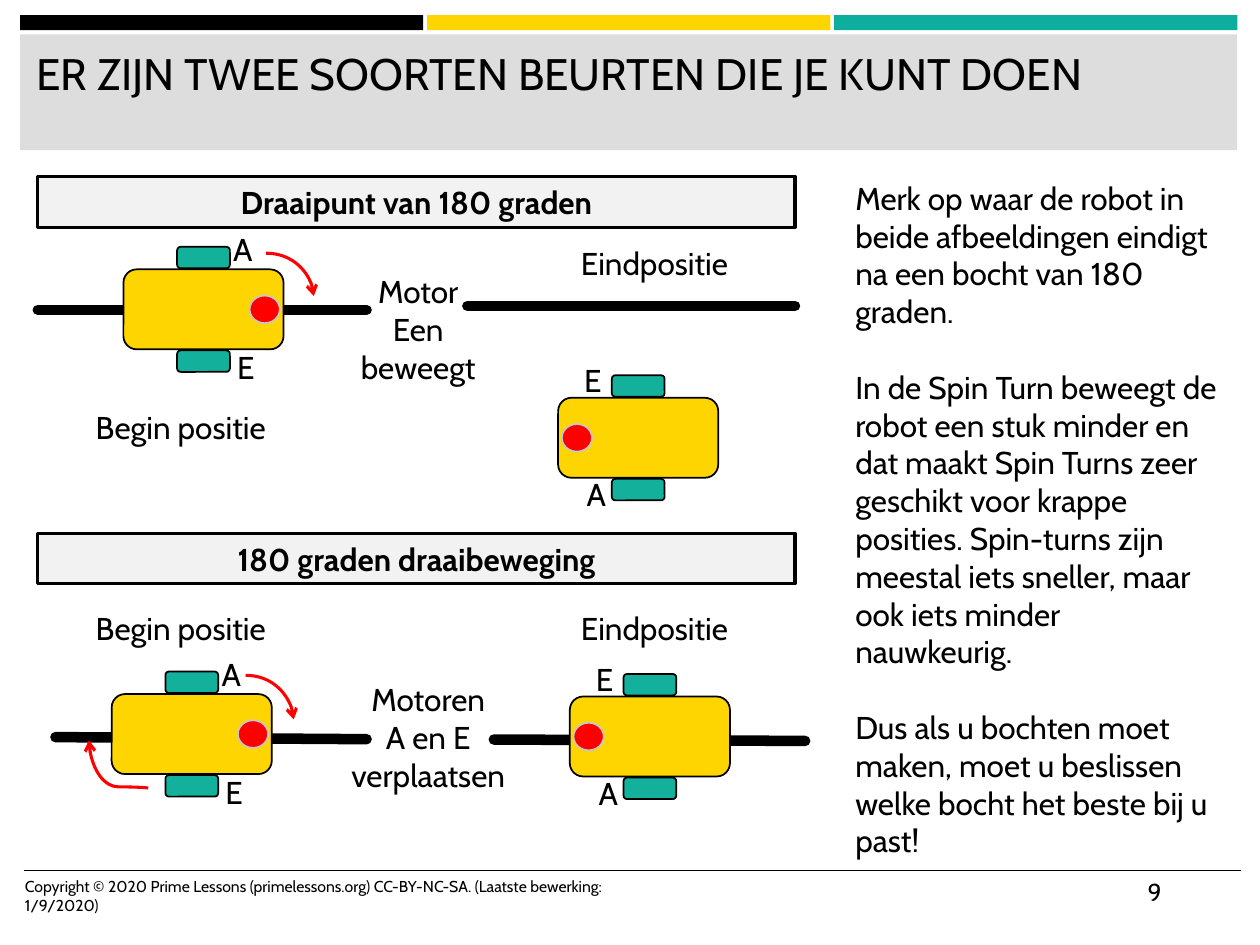
from lxml.etree import SubElement
from pptx import Presentation
from pptx.dml.color import RGBColor
from pptx.enum.shapes import MSO_CONNECTOR, MSO_SHAPE
from pptx.enum.text import MSO_ANCHOR, PP_ALIGN
from pptx.oxml.ns import qn
from pptx.util import Pt

BLACK = RGBColor(0x00, 0x00, 0x00)
YELLOW = RGBColor(0xFF, 0xD5, 0x00)
TEAL = RGBColor(0x0E, 0xAE, 0x9F)
WHEEL = RGBColor(0x13, 0xB0, 0x9B)
GREY = RGBColor(0xDD, 0xDD, 0xDD)
PALE = RGBColor(0xF2, 0xF2, 0xF2)
SILVER = RGBColor(0xC7, 0xC7, 0xC7)
RED = RGBColor(0xFF, 0x00, 0x00)


class SlideKit:
    font = "Cabin"
    size = 18

    def __init__(self, s):
        self.s = s

    def fill_text(self, tf, lines, size=None, align=PP_ALIGN.LEFT, bold=False, gap=0):
        tf.word_wrap = True
        for i, line in enumerate(lines):
            p = tf.paragraphs[0] if i == 0 else tf.add_paragraph()
            p.alignment = align
            if i:
                p.space_before = Pt(gap)
            r = p.add_run()
            r.text = line
            r.font.name = self.font
            r.font.size = Pt(size or self.size)
            r.font.bold = bold
            r.font.color.rgb = BLACK

    def text(self, x, y, w, h, *lines, **style):
        sp = self.s.shapes.add_textbox(Pt(x), Pt(y), Pt(w), Pt(h))
        self.fill_text(sp.text_frame, lines, **style)

    def caption(self, x, y, w, h, *lines):
        self.text(x, y, w, h, *lines, align=PP_ALIGN.CENTER)

    def shape(self, kind, x, y, w, h, fill, line=None, weight=1):
        sp = self.s.shapes.add_shape(kind, Pt(x), Pt(y), Pt(w), Pt(h))
        sp.shadow.inherit = False
        sp.fill.solid()
        sp.fill.fore_color.rgb = fill
        if line is None:
            sp.line.fill.background()
        else:
            sp.line.color.rgb = line
            sp.line.width = Pt(weight)
        return sp

    def centred(self, kind, cx, cy, w, h, fill, line):
        self.shape(kind, cx - w / 2, cy - h / 2, w, h, fill, line)

    def banner(self, y, title):
        sp = self.shape(MSO_SHAPE.RECTANGLE, 21.6, y, 432.7, 29, PALE, BLACK, 1.75)
        tf = sp.text_frame
        tf.vertical_anchor = MSO_ANCHOR.MIDDLE
        self.fill_text(tf, [title], align=PP_ALIGN.CENTER, bold=True)

    def line(self, x1, y1, x2, y2, weight, color=BLACK, kind=MSO_CONNECTOR.STRAIGHT):
        sp = self.s.shapes.add_connector(kind, Pt(x1), Pt(y1), Pt(x2), Pt(y2))
        sp.line.color.rgb = color
        sp.line.width = Pt(weight)
        SubElement(sp._element.spPr, qn("a:effectLst"))
        return sp

    def track(self, x1, y1, x2, y2):
        sp = self.line(x1, y1, x2, y2, 6)
        sp.line._get_or_add_ln().set("cap", "rnd")

    def turn(self, x1, y1, x2, y2, preset="curvedConnector2", rot=0, adj=None):
        sp = self.line(x1, y1, x2, y2, 1.75, RED, MSO_CONNECTOR.CURVE)
        SubElement(sp.line._get_or_add_ln(), qn("a:tailEnd"), type="arrow")
        spPr = sp._element.spPr
        geom = spPr.find(qn("a:prstGeom"))
        geom.set("prst", preset)
        if rot:
            spPr.find(qn("a:xfrm")).set("rot", str(rot * 60000))
        if adj is not None:
            guides = geom.find(qn("a:avLst"))
            SubElement(guides, qn("a:gd"), name="adj1", fmla=f"val {adj}")

    def robot(self, cx, cy, forward):
        rounded = MSO_SHAPE.ROUNDED_RECTANGLE
        self.centred(rounded, cx, cy, 91.5, 45.7, YELLOW, BLACK)
        for dy in (-29.6, 29.6):
            self.centred(rounded, cx, cy + dy, 30.2, 12.3, WHEEL, BLACK)
        dot = 35 if forward else -35
        self.centred(MSO_SHAPE.OVAL, cx + dot, cy, 17.3, 15.8, RED, SILVER)
        if forward:
            labels = ("A", 9.9, -49), ("E", 12.1, 18.7)
        else:
            labels = ("A", -36.5, 17.6), ("E", -38, -47.5)
        for name, dx, dy in labels:
            self.text(cx + dx, cy + dy, 36.7, 29, name)


def main():
    prs = Presentation()
    prs.slide_width, prs.slide_height = Pt(720), Pt(540)
    kit = SlideKit(prs.slides.add_slide(prs.slide_layouts[6]))

    for i, color in enumerate((BLACK, YELLOW, TEAL)):
        kit.shape(MSO_SHAPE.RECTANGLE, 11.5 + i * 232.6, 8.6, 230.4, 8.6, color)
    kit.shape(MSO_SHAPE.RECTANGLE, 11.5, 19.6, 695.5, 66.2, GREY)
    kit.line(13.5, 497.5, 709.2, 497.5, 1)
    kit.text(13.7, 23, 689, 59, "ER ZIJN TWEE SOORTEN BEURTEN DIE JE KUNT DOEN", size=25.2)
    kit.text(7.2, 497.5, 383.8, 28.8,
             "Copyright © 2020 Prime Lessons (primelessons.org) CC-BY-NC-SA. "
             "(Laatste bewerking: 1/9/2020)", size=9)
    kit.text(648.7, 497.5, 60.5, 28.8, "9", size=14)

    kit.track(282.2, 422.6, 460.1, 423.4)
    kit.track(31.7, 421.2, 209.5, 422.4)
    kit.track(21.6, 177.1, 209.5, 177.1)
    kit.track(267.1, 174.8, 454.3, 174.8)

    kit.banner(100.8, "Draaipunt van 180 graden")
    kit.banner(304.6, "180 graden draaibeweging")

    for y in (229.7, 344.5):
        kit.caption(36, y, 134.6, 29, "Begin positie")
    for y in (136, 344.5):
        kit.caption(306.7, y, 134.6, 29, "Eindpositie")
    kit.caption(186.5, 152, 105, 51, "Motor", "Een beweegt")
    kit.caption(192.2, 385.2, 105, 72.7, "Motoren", "A en E verplaatsen")

    kit.robot(116.3, 176.8, True)
    kit.robot(364.7, 250.2, False)
    kit.robot(109.6, 419.5, True)
    kit.robot(371.4, 420.9, False)

    kit.turn(151.9, 144.7, 179.3, 169.2)
    kit.turn(140.4, 385.9, 167.8, 411.1)
    kit.turn(54, 453.6, 81.4, 419.8, "curvedConnector3", 270, 2800)

    kit.text(481.7, 98.6, 221, 356.4,
             "Merk op waar de robot in beide afbeeldingen eindigt na een bocht "
             "van 180 graden.",
             "In de Spin Turn beweegt de robot een stuk minder en dat maakt Spin "
             "Turns zeer geschikt voor krappe posities. Spin-turns zijn meestal "
             "iets sneller, maar ook iets minder nauwkeurig.",
             "Dus als u bochten moet maken, moet u beslissen welke bocht het "
             "beste bij u past!", gap=21.6)

    prs.save("out.pptx")


if __name__ == "__main__":
    main()
